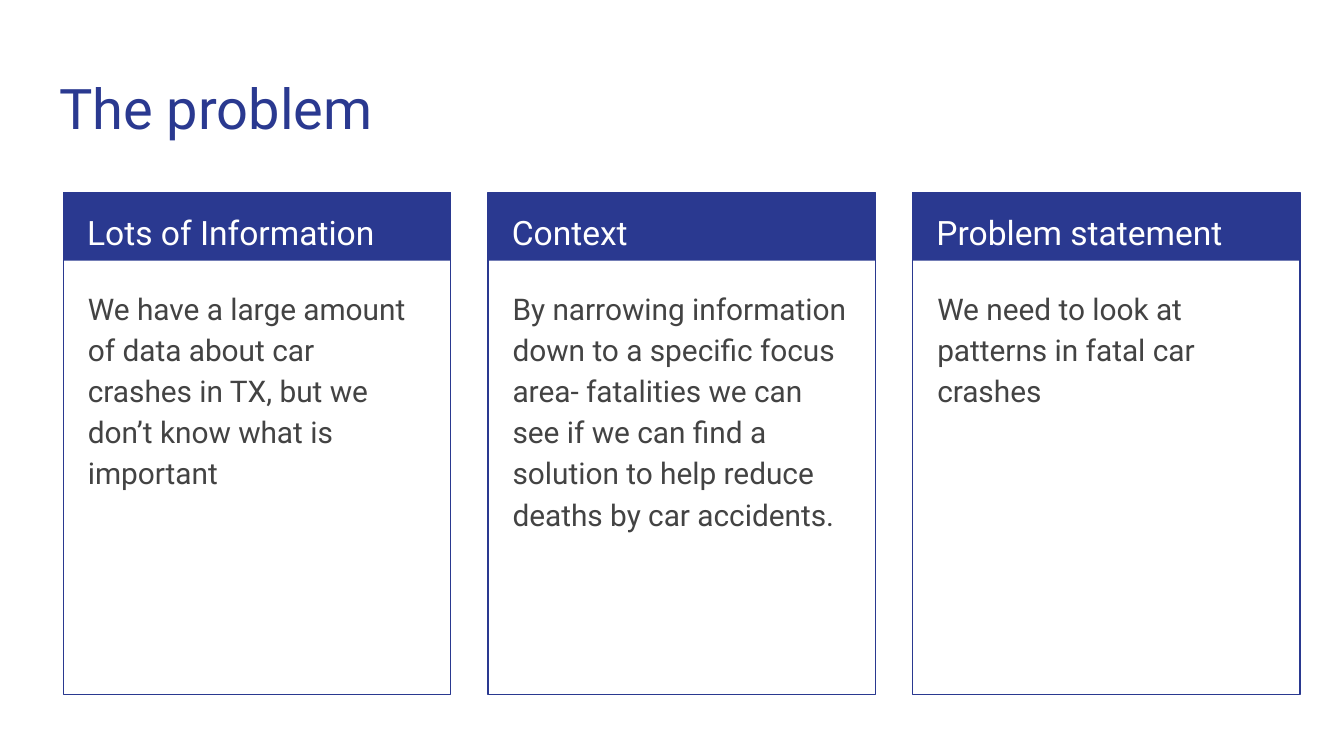
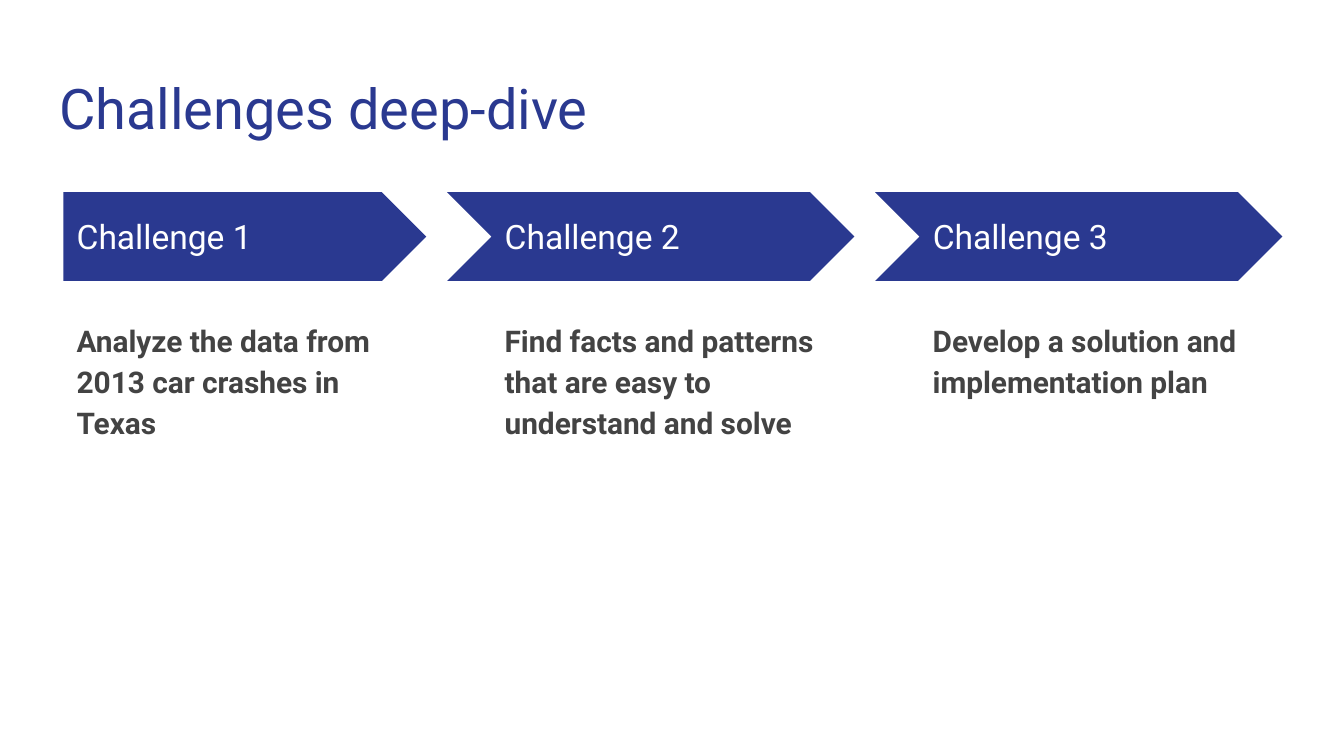
import dataclasses

import pptx
import pptx.dml.color
import pptx.enum.shapes
import pptx.enum.text
import pptx.util

Pt = pptx.util.Pt
Kind = pptx.enum.shapes.MSO_SHAPE
Anchor = pptx.enum.text.MSO_ANCHOR

# Shared style
FONT = "Roboto"
COLORS = {"blue": "2A3990", "gray": "434343", "white": "FFFFFF"}
PAD = 7.2
LEFT, TOP = 34, 103  # corner of the first column on both slides

# Cards and steps: sizes and column pitch
CARD_STEP, CARD_W, CARD_H, HEAD_H = 227.5, 207.4, 269, 36.7
STEP, STEP_W, STEP_H = 229.3, 194.4, 47.5


@dataclasses.dataclass
class Item:
    head: str
    body: str


CARDS = [
    Item("Lots of Information",
         "We have a large amount of data about car crashes in TX, "
         "but we don’t know what is important"),
    Item("Context",
         "By narrowing information down to a specific focus area- fatalities "
         "we can see if we can find a solution to help reduce deaths by car "
         "accidents."),
    Item("Problem statement",
         "We need to look at patterns in fatal car crashes"),
]
STEPS = [
    Item("Challenge 1", "Analyze the data from 2013 car crashes in Texas"),
    Item("Challenge 2",
         "Find facts and patterns that are easy to understand and solve"),
    Item("Challenge 3", "Develop a solution and implementation plan"),
]


def color(name: str) -> pptx.dml.color.RGBColor:
    return pptx.dml.color.RGBColor.from_string(COLORS[name])


def write(shape, text: str, *, size: float, ink: str, bold: bool = False,
          lines: float = 1.0, after: float = 0, anchor=Anchor.TOP) -> None:
    """Fill a shape's text frame with one formatted paragraph."""
    frame = shape.text_frame
    frame.word_wrap = True
    frame.auto_size = pptx.enum.text.MSO_AUTO_SIZE.NONE
    frame.vertical_anchor = anchor
    frame.margin_left = frame.margin_right = Pt(PAD)
    frame.margin_top = frame.margin_bottom = Pt(PAD)
    para = frame.paragraphs[0]
    para.alignment = pptx.enum.text.PP_ALIGN.LEFT
    para.line_spacing = lines
    para.space_before, para.space_after = Pt(0), Pt(after)
    run = para.add_run()
    run.text = text
    run.font.name, run.font.size, run.font.bold = FONT, Pt(size), bold
    run.font.color.rgb = color(ink)


def add_text(slide, text: str, x: float, y: float, w: float, h: float,
             **style) -> None:
    box = slide.shapes.add_textbox(Pt(x), Pt(y), Pt(w), Pt(h))
    write(box, text, **style)


def add_shape(shapes, kind, x: float, y: float, w: float, h: float, *,
              fill: str = "", line: str = ""):
    shape = shapes.add_shape(kind, Pt(x), Pt(y), Pt(w), Pt(h))
    shape.shadow.inherit = False
    if fill:
        shape.fill.solid()
        shape.fill.fore_color.rgb = color(fill)
    else:
        shape.fill.background()
    if line:
        shape.line.color.rgb = color(line)
        shape.line.width = Pt(0.75)
    else:
        shape.line.fill.background()
    return shape


def add_slide(deck, title: str):
    slide = deck.slides.add_slide(deck.slide_layouts[5])
    box = slide.shapes.title
    box.left, box.top, box.width, box.height = Pt(24.5), Pt(32.4), Pt(671), Pt(47.5)
    write(box, title, size=30, ink="blue")
    return slide


def add_card(slide, item: Item, x: float) -> None:
    group = slide.shapes.add_group_shape().shapes
    add_shape(group, Kind.RECTANGLE, x, TOP, CARD_W, HEAD_H, fill="blue")
    add_shape(group, Kind.RECTANGLE, x, TOP, CARD_W, CARD_H, line="blue")
    add_text(slide, item.head, x + 5.6, TOP, 196.5, 36,
             size=18, ink="white", lines=1.15)
    add_text(slide, item.body, x + 6, TOP + 42.5, 195, 220,
             size=16, ink="gray", lines=1.15, after=16)


def add_step(slide, item: Item, x: float, first: bool) -> None:
    # A chevron's notch reaches back by half its height
    kind, lead = (Kind.PENTAGON, 0) if first else (Kind.CHEVRON, STEP_H / 2)
    arrow = add_shape(slide.shapes, kind, x - lead, TOP, STEP_W + lead, STEP_H,
                      fill="blue")
    arrow.adjustments[0] = 0.5
    add_text(slide, item.head, x, TOP + 11.5, 178, 24.5,
             size=18, ink="white", anchor=Anchor.MIDDLE)
    add_text(slide, item.body, x, TOP + 59.7, STEP_W, 209,
             size=16, ink="gray", bold=True, lines=1.15, after=8)


def main() -> None:
    deck = pptx.Presentation()
    deck.slide_width, deck.slide_height = Pt(720), Pt(405)

    # Problem cards
    slide = add_slide(deck, "The problem")
    for i, item in enumerate(CARDS):
        add_card(slide, item, LEFT + i * CARD_STEP)

    # Challenge arrows
    slide = add_slide(deck, "Challenges deep-dive")
    for i, item in enumerate(STEPS):
        add_step(slide, item, LEFT + i * STEP, first=i == 0)

    deck.save("out.pptx")


if __name__ == "__main__":
    main()
